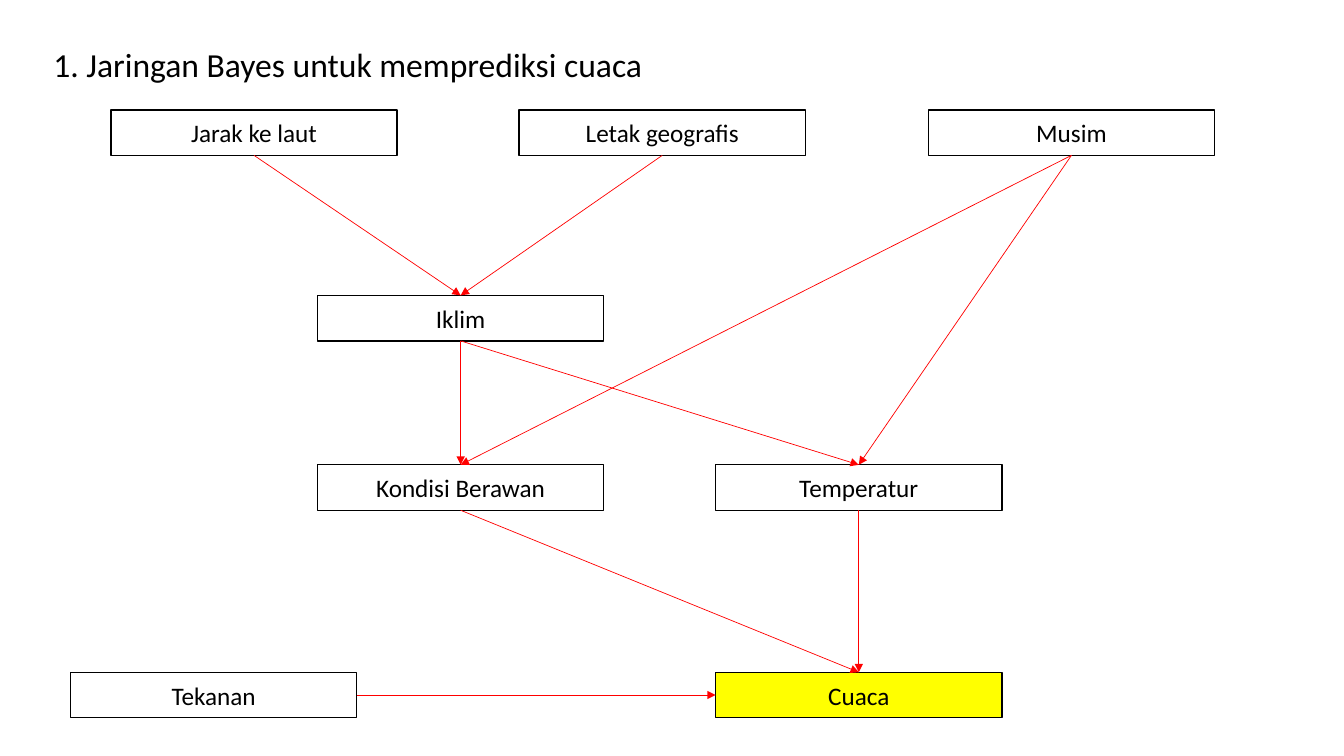
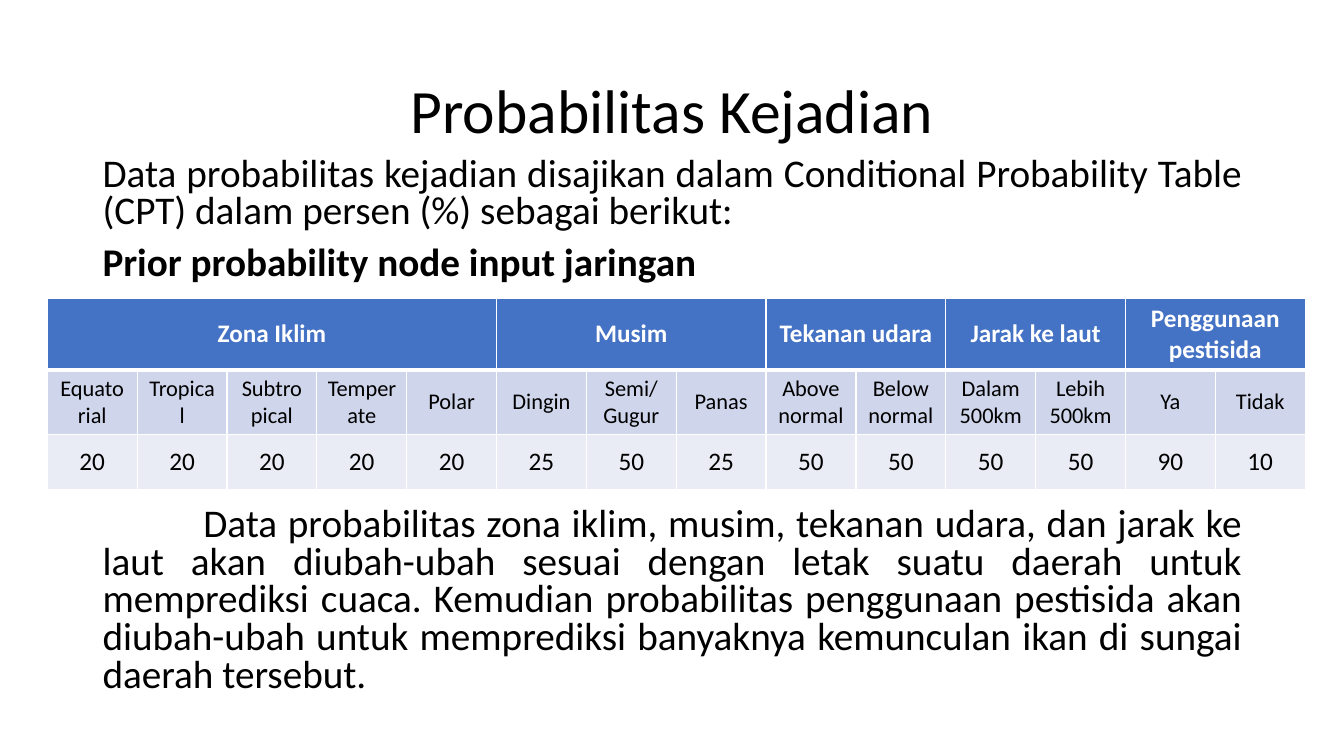
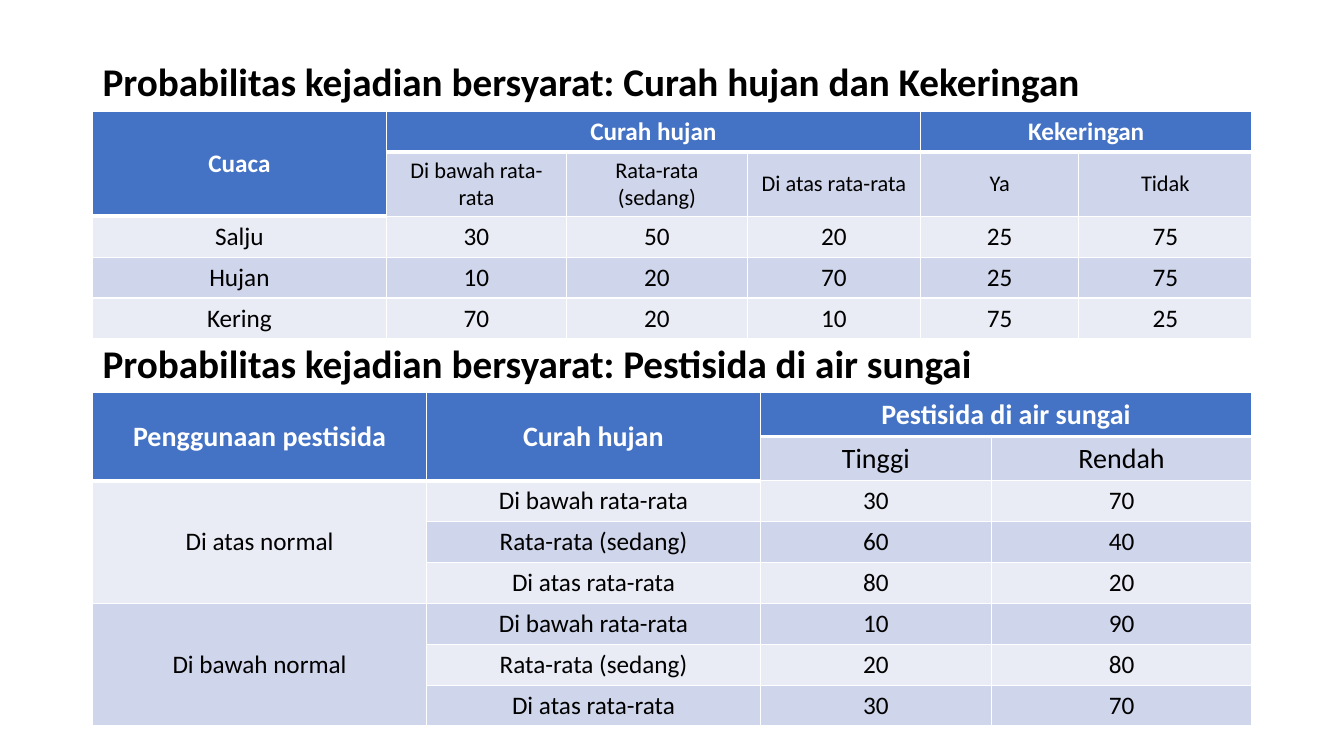
from lxml import etree
from pptx import Presentation
from pptx.dml.color import RGBColor
from pptx.enum.shapes import MSO_CONNECTOR, MSO_SHAPE
from pptx.enum.text import MSO_ANCHOR, PP_ALIGN
from pptx.oxml.ns import qn
from pptx.util import Pt

RECT = MSO_SHAPE.RECTANGLE
LINE = MSO_CONNECTOR.STRAIGHT
TOP, MID = MSO_ANCHOR.TOP, MSO_ANCHOR.MIDDLE
LEFT, MIDDLE, JUST = PP_ALIGN.LEFT, PP_ALIGN.CENTER, PP_ALIGN.JUSTIFY

FONT = "Calibri"
BLACK, WHITE, RED, YELLOW = "000000", "FFFFFF", "FF0000", "FFFF00"
HEAD = "4472C4"
BANDS = "E9EBF5", "CFD5EA"
EDGE, WIDE = 66.2, 828

NODE = 204.5, 32.5
NODES = {
    "Jarak ke laut": (79.2, 78.5),
    "Letak geografis": (370.8, 78.5),
    "Musim": (663.1, 78.5),
    "Iklim": (226.8, 211),
    "Kondisi Berawan": (226.8, 332),
    "Temperatur": (511.2, 332),
    "Tekanan": (50.4, 480.2),
    "Cuaca": (511.2, 480.2),
}
GOAL = "Cuaca"
DOWN, ACROSS = (2, 0), (3, 1)
LINKS = [
    ("Jarak ke laut", "Iklim", DOWN),
    ("Letak geografis", "Iklim", DOWN),
    ("Musim", "Kondisi Berawan", DOWN),
    ("Musim", "Temperatur", DOWN),
    ("Iklim", "Kondisi Berawan", DOWN),
    ("Iklim", "Temperatur", DOWN),
    ("Kondisi Berawan", "Cuaca", DOWN),
    ("Temperatur", "Cuaca", DOWN),
    ("Tekanan", "Cuaca", ACROSS),
]

INTRO = ("Data probabilitas kejadian disajikan dalam Conditional Probability "
         "Table (CPT) dalam persen (%) sebagai berikut:")
CLOSE = ("Data probabilitas zona iklim, musim, tekanan udara, dan jarak ke laut "
         "akan diubah-ubah sesuai dengan letak suatu daerah untuk memprediksi "
         "cuaca. Kemudian probabilitas penggunaan pestisida akan diubah-ubah "
         "untuk memprediksi banyaknya kemunculan ikan di sungai daerah tersebut.")

LOW, EVEN, HIGH = "Di bawah rata-rata", "Rata-rata (sedang)", "Di atas rata-rata"

PRIOR = {
    "at": (33.8, 213.2),
    "cols": [64.2] * 14,
    "rows": [51, 46, 39.6],
    "sizes": [18, 16, 18],
    "spans": [(0, 0, 1, 5), (0, 5, 1, 3), (0, 8, 1, 2), (0, 10, 1, 2), (0, 12, 1, 2)],
    "cells": [
        ["Zona Iklim", "", "", "", "", "Musim", "", "", "Tekanan udara", "",
         "Jarak ke laut", "", "Penggunaan pestisida", ""],
        ["Equatorial", "Tropical", "Subtropical", "Temperate", "Polar", "Dingin",
         "Semi/ Gugur", "Panas", "Above normal", "Below normal", "Dalam 500km",
         "Lebih 500km", "Ya", "Tidak"],
        [20, 20, 20, 20, 20, 25, 50, 25, 50, 50, 50, 50, 90, 10],
    ],
}
RAIN = {
    "at": (EDGE, 79.3),
    "cols": [209.7, 128.9, 128.9, 124, 113, 123.5],
    "rows": [29.2, 46, 29.2, 29.2, 29.2],
    "sizes": [18, 16, 18, 18, 18],
    "spans": [(0, 0, 2, 1), (0, 1, 1, 3), (0, 4, 1, 2)],
    "cells": [
        ["Cuaca", "Curah hujan", "", "", "Kekeringan", ""],
        ["", LOW, EVEN, HIGH, "Ya", "Tidak"],
        ["Salju", 30, 50, 20, 25, 75],
        ["Hujan", 10, 20, 70, 25, 75],
        ["Kering", 70, 20, 10, 75, 25],
    ],
}
RIVER = {
    "at": (EDGE, 280.3),
    "cols": [238.5, 238.5, 165, 186],
    "rows": [31.6] * 2 + [29.2] * 6,
    "sizes": [20] * 2 + [18] * 6,
    "spans": [(0, 0, 2, 1), (0, 1, 2, 1), (0, 2, 1, 2), (2, 0, 3, 1), (5, 0, 3, 1)],
    "cells": [
        ["Penggunaan pestisida", "Curah hujan", "Pestisida di air sungai", ""],
        ["", "", "Tinggi", "Rendah"],
        ["Di atas normal", LOW, 30, 70],
        ["", EVEN, 60, 40],
        ["", HIGH, 80, 20],
        ["Di bawah normal", LOW, 10, 90],
        ["", EVEN, 20, 80],
        ["", HIGH, 30, 70],
    ],
}


def color(code):
    return RGBColor.from_string(code)


def paint(fill, code):
    fill.solid()
    fill.fore_color.rgb = color(code)


def write(frame, text, size=18, bold=False, ink=BLACK, align=MIDDLE, lead=1, gap=0, indent=0):
    para = frame.add_paragraph() if frame.text else frame.paragraphs[0]
    para.alignment = align
    para.line_spacing = lead
    para.space_before = Pt(gap)
    if indent:
        para._p.get_or_add_pPr().set("indent", str(Pt(indent)))
    run = para.add_run()
    run.text = str(text)
    font = run.font
    font.name, font.size, font.bold = FONT, Pt(size), bold
    font.color.rgb = color(ink)


def frame(slide, x, y, w, h, anchor=TOP):
    box = slide.shapes.add_textbox(Pt(x), Pt(y), Pt(w), Pt(h)).text_frame
    box.word_wrap = True
    box.vertical_anchor = anchor
    return box


def node(slide, name, x, y):
    box = slide.shapes.add_shape(RECT, Pt(x), Pt(y), Pt(NODE[0]), Pt(NODE[1]))
    box.shadow.inherit = False
    paint(box.fill, YELLOW if name == GOAL else WHITE)
    box.line.color.rgb = color(BLACK)
    box.line.width = Pt(1)
    box.text_frame.vertical_anchor = MID
    write(box.text_frame, name)
    return box


def arrow(slide, start, end, sides):
    link = slide.shapes.add_connector(LINE, 0, 0, 0, 0)
    link.begin_connect(start, sides[0])
    link.end_connect(end, sides[1])
    link.line.color.rgb = color(RED)
    link.line.width = Pt(0.5)
    etree.SubElement(link.line._get_or_add_ln(), qn("a:tailEnd"), type="triangle")
    etree.SubElement(link._element.spPr, qn("a:effectLst"))


def rule(cell):
    props = cell._tc.get_or_add_tcPr()
    line = etree.SubElement(props, qn("a:lnB"), w=str(Pt(3)))
    solid = etree.SubElement(line, qn("a:solidFill"))
    etree.SubElement(solid, qn("a:srgbClr"), val=WHITE)


def grid(slide, data):
    cols, rows, cells = data["cols"], data["rows"], data["cells"]
    x, y = data["at"]
    table = slide.shapes.add_table(len(rows), len(cols), Pt(x), Pt(y),
                                   Pt(sum(cols)), Pt(sum(rows))).table
    for col, width in zip(table.columns, cols):
        col.width = Pt(width)
    for row, height in zip(table.rows, rows):
        row.height = Pt(height)
    owner = {}
    for r, c, high, wide in data["spans"]:
        table.cell(r, c).merge(table.cell(r + high - 1, c + wide - 1))
        owner.update({(r + i, c + j): r for i in range(high) for j in range(wide)})
    for r, line in enumerate(cells):
        for c, text in enumerate(line):
            cell = table.cell(r, c)
            first = owner.get((r, c), r)
            head = first == 0
            if head:
                rule(cell)
            paint(cell.fill, HEAD if head else BANDS[first % 2])
            cell.vertical_anchor = MID
            if text != "":
                write(cell.text_frame, text, size=data["sizes"][r], bold=head,
                      ink=WHITE if head else BLACK)


def network(slide):
    boxes = {name: node(slide, name, *spot) for name, spot in NODES.items()}
    for start, end, sides in LINKS:
        arrow(slide, boxes[start], boxes[end], sides)
    write(frame(slide, 31, 28.1, 480, 36), "1. Jaringan Bayes untuk memprediksi cuaca",
          size=24, align=LEFT)


def priors(slide):
    write(frame(slide, EDGE, 28.8, WIDE, 104.4, MID), "Probabilitas Kejadian",
          size=44, lead=0.9)
    body = {"size": 28, "align": JUST, "lead": 0.8}
    intro = frame(slide, EDGE, 108.7, WIDE, 100)
    write(intro, INTRO, **body)
    write(intro, "Prior probability node input jaringan", bold=True, gap=10, **body)
    write(frame(slide, EDGE, 359, WIDE, 150), CLOSE, indent=72, **body)
    grid(slide, PRIOR)


def given(slide):
    for topic, y, data in [("Curah hujan dan Kekeringan", 41, RAIN),
                           ("Pestisida di air sungai", 242.5, RIVER)]:
        write(frame(slide, EDGE, y, WIDE, 38), "Probabilitas kejadian bersyarat: " + topic,
              size=28, bold=True, align=JUST, lead=0.9)
        grid(slide, data)


def main():
    deck = Presentation()
    deck.slide_width, deck.slide_height = Pt(960), Pt(540)
    for build in (network, priors, given):
        build(deck.slides.add_slide(deck.slide_layouts[6]))
    deck.save("out.pptx")


if __name__ == "__main__":
    main()
